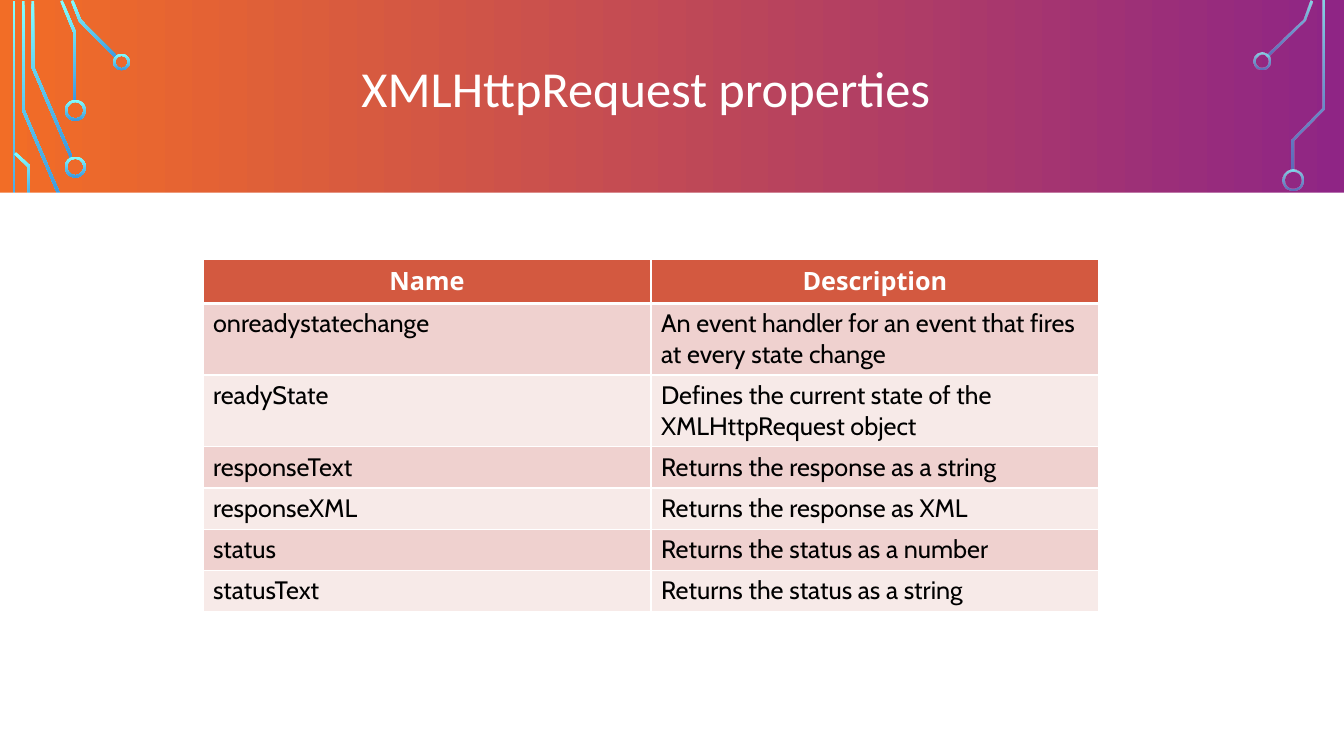
"""Build the slide on XMLHttpRequest properties."""
from math import hypot
from lxml import etree
from pptx import Presentation
from pptx.dml.color import RGBColor
from pptx.enum import shapes, text
from pptx.oxml import ns
from pptx.util import Pt

TITLE = "XMLHttpRequest properties"
ROWS = [
    ("Name", "Description"),
    ("onreadystatechange", "An event handler for an event that fires at every state change"),
    ("readyState", "Defines the current state of the XMLHttpRequest object"),
    ("responseText", "Returns the response as a string"),
    ("responseXML", "Returns the response as XML"),
    ("status", "Returns the status as a number"),
    ("statusText", "Returns the status as a string"),
]
CIRCUITS = [
    {
        "alpha": (100, 100),
        "wires": [
            [(9.9, 0.7), (9.9, 172)],
            [(16.6, 0.7), (16.6, 78.5), (43.9, 143)],
            [(23.4, 0.7), (23.4, 47.8), (51.1, 112.7)],
            [(43.9, 0.5), (53.6, 23.8), (53.6, 72)],
            [(51.5, 0.4), (57.2, 14.8), (83.2, 41)],
            [(10.8, 109.4), (20.9, 119), (20.9, 146.2)],
        ],
        "rings": [(53.8, 119.3, 7.5), (53.8, 78.8, 7.5), (86.8, 44.3, 6)],
    },
    {
        "alpha": (80, 60),
        "wires": [
            [(905, 40), (931.3, 14.1), (936.4, 0.4)],
            [(945, 0.7), (945, 77.4), (923.2, 99.7), (923.2, 121.7)],
        ],
        "rings": [(901.3, 43.5, 6), (923.4, 128.6, 7.5)],
    },
]
THEME = {
    "back": ("8F2585", "F26D26"), "wire": ("82FFFF", "3D97DE"),
    "white": "FFFFFF", "black": "000000", "head": "D35940",
    "bands": ("EFD1CF", "F7EAE8"),
    "title": ("Calibri", 36), "label": ("Open Sans", 18), "body": ("Cabin", 18),
}
WIDE, HIGH = 960, 540
BAND = 137.5
STROKE = 1.9
ROW, COL = 29.5, 320


def color(name):
    return RGBColor.from_string(name)


def blend(fill, tints, angle):
    fill.gradient()
    fill.gradient_angle = angle
    for stop, tint in zip(fill.gradient_stops, tints):
        stop.color.rgb = color(tint)


def finish(shape, alpha):
    shape.shadow.inherit = False
    shape.line.fill.background()
    blend(shape.fill, THEME["wire"], 270)
    for tint, part in zip(shape._element.spPr.iter(ns.qn("a:srgbClr")), alpha):
        if part < 100:
            etree.SubElement(tint, ns.qn("a:alpha"), val=str(part * 1000))


def outline(wire):
    norms = []
    for (x, y), (p, q) in zip(wire, wire[1:]):
        size = hypot(p - x, q - y)
        norms.append(((y - q) / size, (p - x) / size))
    left, right = [], []
    for (x, y), a, b in zip(wire, norms[:1] + norms, norms + norms[-1:]):
        reach = STROKE / 2 / (1 + a[0] * b[0] + a[1] * b[1])
        dx, dy = (a[0] + b[0]) * reach, (a[1] + b[1]) * reach
        left.append((Pt(x + dx), Pt(y + dy)))
        right.append((Pt(x - dx), Pt(y - dy)))
    return left + right[::-1]


def trace(page, circuit):
    for wire in circuit["wires"]:
        edge = outline(wire)
        path = page.shapes.build_freeform(*edge[0])
        path.add_line_segments(edge[1:], close=True)
        finish(path.convert_to_shape(), circuit["alpha"])
    for x, y, r in circuit["rings"]:
        ring = page.shapes.add_shape(
            shapes.MSO_SHAPE.DONUT, Pt(x - r), Pt(y - r), Pt(2 * r), Pt(2 * r))
        ring.adjustments[0] = 1.6 / (2 * r)
        finish(ring, circuit["alpha"])


def write(para, words, style, tint, bold=False):
    run = para.add_run()
    run.text = words
    run.font.name, size = THEME[style]
    run.font.size = Pt(size)
    run.font.bold = bold
    run.font.color.rgb = color(THEME[tint])


def border(cell, sides):
    props = cell._tc.get_or_add_tcPr()
    for spot, (side, width) in enumerate(sides):
        line = etree.Element(ns.qn("a:ln" + side), w=str(Pt(width)))
        fill = etree.SubElement(line, ns.qn("a:solidFill"))
        etree.SubElement(fill, ns.qn("a:srgbClr"), val=THEME["white"])
        props.insert(spot, line)


def head(page):
    title = page.shapes.title
    page.shapes._spTree.append(title._element)
    title.left, title.top, title.width, title.height = Pt(39), Pt(38), Pt(852), Pt(54)
    frame = title.text_frame
    frame.margin_left, frame.margin_right = Pt(0), Pt(7.2)
    frame.margin_top = frame.margin_bottom = Pt(3.6)
    frame.vertical_anchor = text.MSO_ANCHOR.MIDDLE
    para = frame.paragraphs[0]
    para.alignment = text.PP_ALIGN.CENTER
    para.line_spacing = 0.9
    write(para, TITLE, "title", "white")


def fill_table(page):
    table = page.shapes.add_table(
        len(ROWS), 2, Pt(145), Pt(185), Pt(2 * COL), Pt(ROW * len(ROWS))).table
    for r, row in enumerate(ROWS):
        table.rows[r].height = Pt(ROW)
        top, low = (3 if r == 1 else 1), (3 if r == 0 else 1)
        for c, words in enumerate(row):
            cell = table.cell(r, c)
            cell.fill.solid()
            tint = THEME["bands"][(r - 1) % 2] if r else THEME["head"]
            cell.fill.fore_color.rgb = color(tint)
            border(cell, (("L", 1), ("R", 1), ("T", top), ("B", low)))
            para = cell.text_frame.paragraphs[0]
            if r:
                write(para, words, "body", "black")
            else:
                para.alignment = text.PP_ALIGN.CENTER
                write(para, words, "label", "white", True)


def main():
    deck = Presentation()
    deck.slide_width, deck.slide_height = Pt(WIDE), Pt(HIGH)
    page = deck.slides.add_slide(deck.slide_layouts[5])
    blend(page.background.fill, THEME["back"], 180)
    for circuit in CIRCUITS:
        trace(page, circuit)
    panel = page.shapes.add_shape(
        shapes.MSO_SHAPE.RECTANGLE, Pt(0), Pt(BAND), Pt(WIDE), Pt(HIGH - BAND))
    panel.shadow.inherit = False
    panel.fill.solid()
    panel.fill.fore_color.rgb = color(THEME["white"])
    panel.line.fill.background()
    head(page)
    fill_table(page)
    deck.save("out.pptx")


if __name__ == "__main__":
    main()
